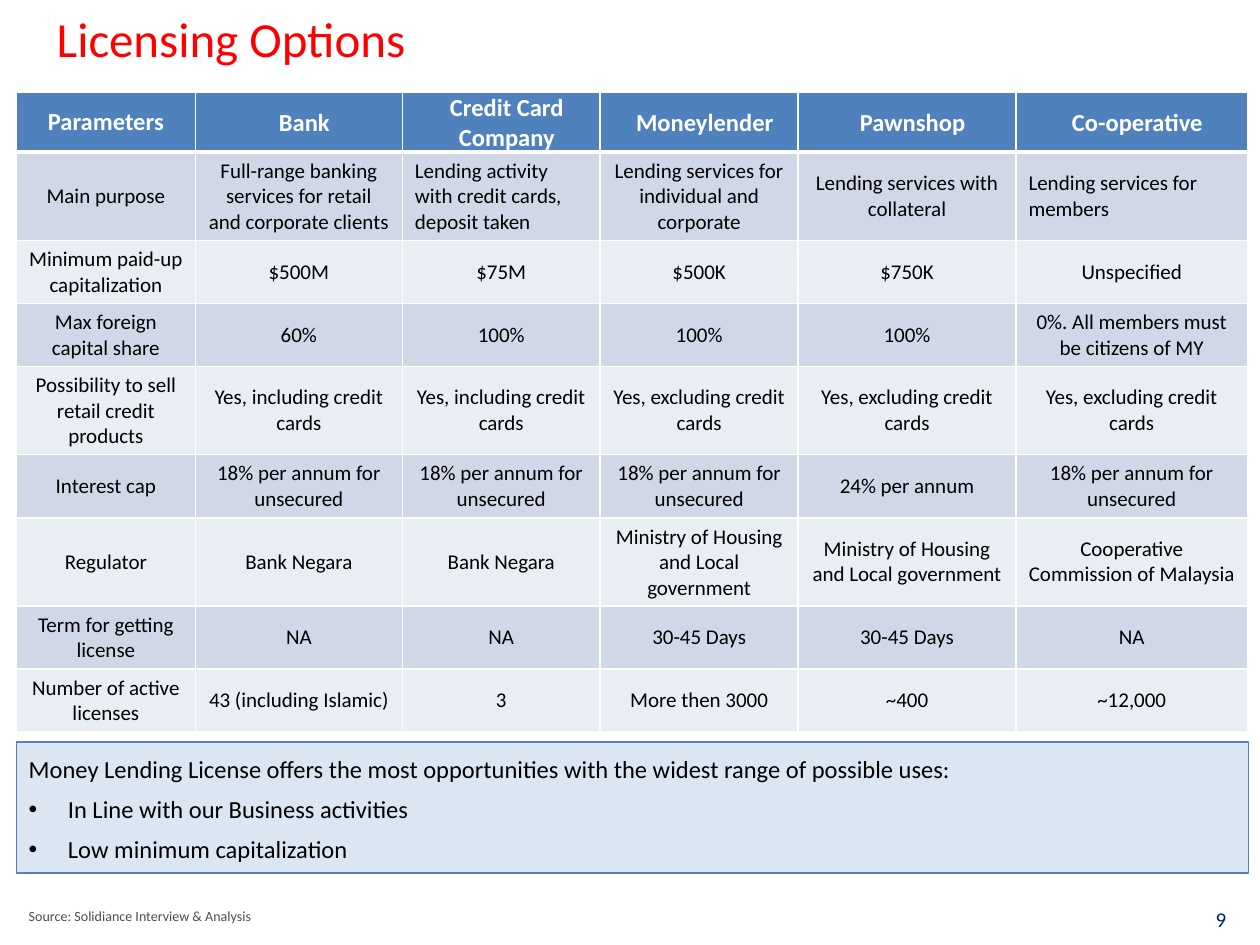
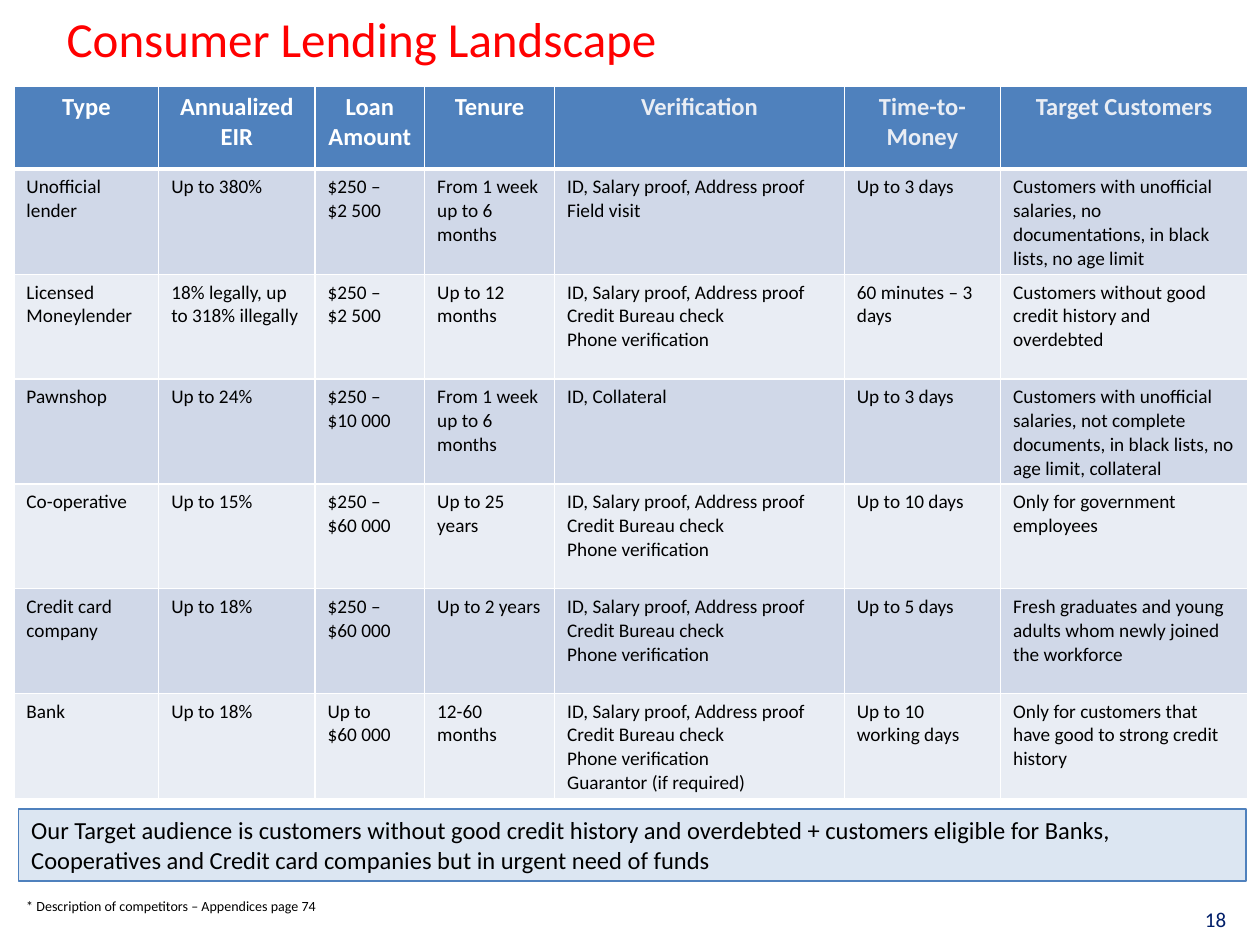
from lxml import etree
from pptx import Presentation
from pptx import util as u
from pptx.dml.color import RGBColor
from pptx.enum import shapes, text
from pptx.oxml import ns

HUES = {
    "title": "FF0000", "page": "001E69", "head": "4F81BD", "dark": "D0D8E8",
    "pale": "E9EDF4", "box": "DCE6F2", "white": "FFFFFF", "black": "000000",
    "grey": "4D4D4D",
}
LEFT, MID, RIGHT = text.PP_ALIGN.LEFT, text.PP_ALIGN.CENTER, text.PP_ALIGN.RIGHT
TOP, CORE = text.MSO_ANCHOR.TOP, text.MSO_ANCHOR.MIDDLE


def hue(name):
    return RGBColor.from_string(HUES[name])


def area(*sides):
    return [u.Cm(side) for side in sides]


class Deck:
    font = "Calibri"

    def __init__(self):
        self.file = Presentation()
        self.file.slide_width, self.file.slide_height = area(25.4, 19.05)
        self.slide = None

    def prose(self, frame, paras, size, color="black", bold=False, align=LEFT,
              lead=None, gap=0, dots=False):
        for i, words in enumerate(paras):
            para = frame.paragraphs[0] if i == 0 else frame.add_paragraph()
            if dots and i:
                self.dot(para)
            para.alignment = align
            if lead:
                para.line_spacing = lead
            if gap and i:
                para.space_before = u.Pt(gap)
            for j, line in enumerate(words.split("\n")):
                if j:
                    para.add_line_break()
                run = para.add_run()
                run.text = line
                run.font.name = self.font
                run.font.size = u.Pt(size)
                run.font.bold = bold
                run.font.color.rgb = hue(color)

    def dot(self, para):
        props = para._p.get_or_add_pPr()
        props.set("marL", str(u.Cm(0.79)))
        props.set("indent", str(u.Cm(-0.79)))
        etree.SubElement(props, ns.qn("a:buFont"), typeface="Arial")
        etree.SubElement(props, ns.qn("a:buChar"), char="•")

    def start(self, title, left, page):
        self.slide = self.file.slides.add_slide(self.file.slide_layouts[5])
        head = self.slide.shapes.title
        head.left, head.top, head.width, head.height = area(left, 0.33, 22.66, 0.86)
        frame = head.text_frame
        frame.auto_size = text.MSO_AUTO_SIZE.NONE
        frame.vertical_anchor = CORE
        self.prose(frame, [title], 28, "title")
        self.label(page, (22.96, 18.14, 2.01, 0.79), 12, "page", RIGHT, CORE)

    def label(self, words, place, size, color, align=LEFT, anchor=TOP, lead=None):
        frame = self.slide.shapes.add_textbox(*area(*place)).text_frame
        frame.word_wrap = True
        frame.vertical_anchor = anchor
        self.prose(frame, [words], size, color, align=align, lead=lead)

    def box(self, paras, place, **style):
        shape = self.slide.shapes.add_shape(shapes.MSO_SHAPE.RECTANGLE, *area(*place))
        shape.shadow.inherit = False
        shape.fill.solid()
        shape.fill.fore_color.rgb = hue("box")
        shape.line.color.rgb = hue("head")
        shape.line.width = u.Pt(0.75)
        frame = shape.text_frame
        frame.word_wrap = True
        frame.vertical_anchor = TOP
        self.prose(frame, paras, 14, **style)

    def edge(self, cell, base):
        props = cell._tc.get_or_add_tcPr()
        for i, side in enumerate("LRTB"):
            width = base if side == "B" else 1
            line = etree.Element(ns.qn("a:ln" + side), w=str(u.Pt(width)))
            fill = etree.SubElement(line, ns.qn("a:solidFill"))
            etree.SubElement(fill, ns.qn("a:srgbClr"), val=HUES["white"])
            props.insert(i, line)

    def table(self, data, spot, cols, rows, size, anchor, align, left=(),
              soft=None, tight=False):
        place = area(*spot, sum(cols), sum(rows))
        grid = self.slide.shapes.add_table(len(rows), len(cols), *place).table
        grid.horz_banding = False
        for col, width in zip(grid.columns, cols):
            col.width = u.Cm(width)
        for row, height in zip(grid.rows, rows):
            row.height = u.Cm(height)
        for r, line in enumerate(data):
            for c, item in enumerate(line):
                cell = grid.cell(r, c)
                cell.vertical_anchor = anchor
                cell.fill.solid()
                band = "head" if r == 0 else "dark" if r % 2 else "pale"
                cell.fill.fore_color.rgb = hue(band)
                self.edge(cell, 1 if r else 3)
                paras = [item] if isinstance(item, str) else item
                if r:
                    side = LEFT if (r, c) in left else align
                    self.prose(cell.text_frame, paras, size, align=side)
                    continue
                tint = "pale" if soft and c >= soft else "white"
                self.prose(cell.text_frame, paras, 14, tint, True, MID)
                if tight and c:
                    cell.margin_top = cell.margin_right = u.Cm(0.03)
                    cell.margin_bottom = 0


MINISTRY = "Ministry of Housing and Local government"
CAP = "18% per annum for unsecured"
WITH, SANS = "Yes, including credit cards", "Yes, excluding credit cards"
OPTIONS = [
    ["Parameters", "Bank", "Credit Card Company", "Moneylender", "Pawnshop",
     "Co-operative"],
    ["Main purpose",
     "Full-range banking services for retail and corporate clients",
     "Lending activity with credit cards, deposit taken",
     "Lending services for individual and corporate",
     "Lending services with collateral", "Lending services for members"],
    ["Minimum paid-up capitalization", "$500M", "$75M", "$500K", "$750K",
     "Unspecified"],
    ["Max foreign capital share", "60%", "100%", "100%", "100%",
     "0%. All members must be citizens of MY"],
    ["Possibility to sell retail credit products", WITH, WITH, SANS, SANS, SANS],
    ["Interest cap", CAP, CAP, CAP, "24% per annum", CAP],
    ["Regulator", "Bank Negara", "Bank Negara", MINISTRY, MINISTRY,
     "Cooperative Commission of Malaysia"],
    ["Term for getting license", "NA", "NA", "30-45 Days", "30-45 Days", "NA"],
    ["Number of active licenses", "43 (including Islamic)", "3",
     "More then 3000", "~400", "~12,000"],
]

PROOF = "ID, Salary proof, Address proof"
CHECKS = [PROOF, "Credit Bureau check", "Phone verification"]
LENDERS = [
    ["Type", ["Annualized", "EIR"], "Loan Amount", "Tenure", "Verification",
     "Time-to-Money", "Target Customers"],
    ["Unofficial lender", "Up to 380%", "$250 –\n$2 500",
     "From 1 week up to 6 months", [PROOF, "Field visit"], "Up to 3 days",
     "Customers with unofficial salaries, no documentations, in black lists, "
     "no age limit"],
    ["Licensed Moneylender", "18% legally, up to 318% illegally",
     "$250 –\n$2 500", "Up to 12 months", CHECKS, "60 minutes – 3 days",
     "Customers without good credit history and overdebted"],
    ["Pawnshop", "Up to 24%", "$250 –\n$10 000", "From 1 week up to 6 months",
     "ID, Collateral", "Up to 3 days",
     "Customers with unofficial salaries, not complete documents, in black "
     "lists, no age limit, collateral"],
    ["Co-operative", "Up to 15%", "$250 –\n$60 000", "Up to 25 years", CHECKS,
     "Up to 10 days", "Only for government employees"],
    ["Credit card company", "Up to 18%", "$250 –\n$60 000", "Up to 2 years",
     CHECKS, "Up to 5 days",
     "Fresh graduates and young adults whom newly joined the workforce"],
    ["Bank", "Up to 18%", "Up to\n$60 000", "12-60 months",
     CHECKS + ["Guarantor (if required)"], "Up to 10 working days",
     "Only for customers that have good to strong credit history"],
]


def main():
    deck = Deck()

    deck.start("Licensing Options", 0.89, "9")
    tall, low = 1.75, 1.24
    deck.table(OPTIONS, (0.33, 1.85), [3.61, 4.17, 3.99, 3.99, 4.39, 4.67],
               [1.02, tall, low, low, tall, low, tall, low, low], 12, CORE, MID,
               left=[(1, 2), (1, 5)], tight=True)
    deck.box(["Money Lending License offers the most opportunities with the "
              "widest range of possible uses:",
              "In Line with our Business activities",
              "Low minimum capitalization"],
             (0.33, 14.96, 24.84, 2.64), lead=1.2, gap=2.8, dots=True)
    deck.label("Source: Solidiance Interview & Analysis",
               (0.33, 18.14, 22.6, 0.61), 8, "grey", lead=1.1)

    deck.start("Consumer Lending Landscape", 1.09, "18")
    deck.table(LENDERS, (0.28, 1.73), [2.92, 3.15, 2.21, 2.62, 5.84, 3.15, 4.98],
               [1.68, 1.96, 2.11, 1.7, 2.11, 2.11, 2.11], 11, TOP, LEFT, soft=4)
    deck.box(["Our Target audience is customers without good credit history and "
              "overdebted + customers eligible for Banks, Cooperatives and Credit "
              "card companies but in urgent need of funds"],
             (0.38, 16.31, 24.74, 1.45))
    deck.label("* Description of competitors – Appendices page 74",
               (0.28, 17.96, 22.6, 0.61), 8, "black")

    deck.file.save("out.pptx")


if __name__ == "__main__":
    main()
